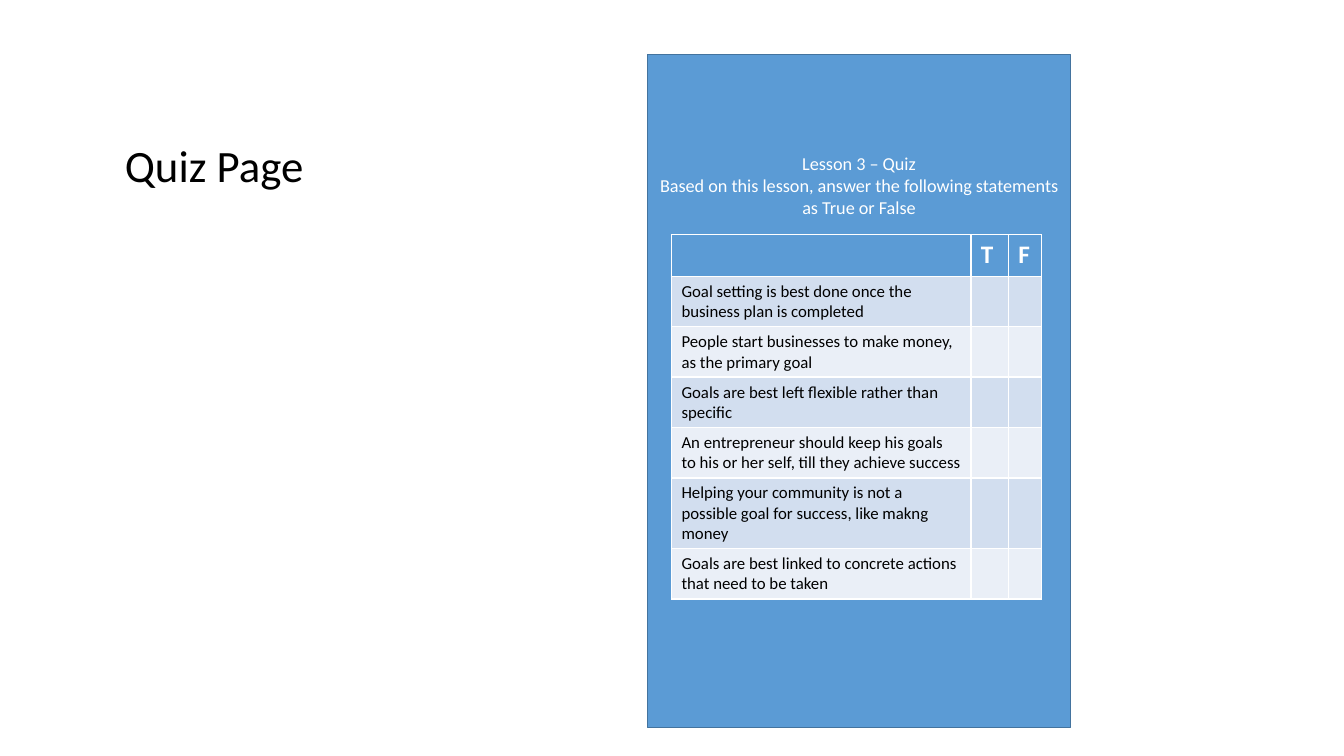
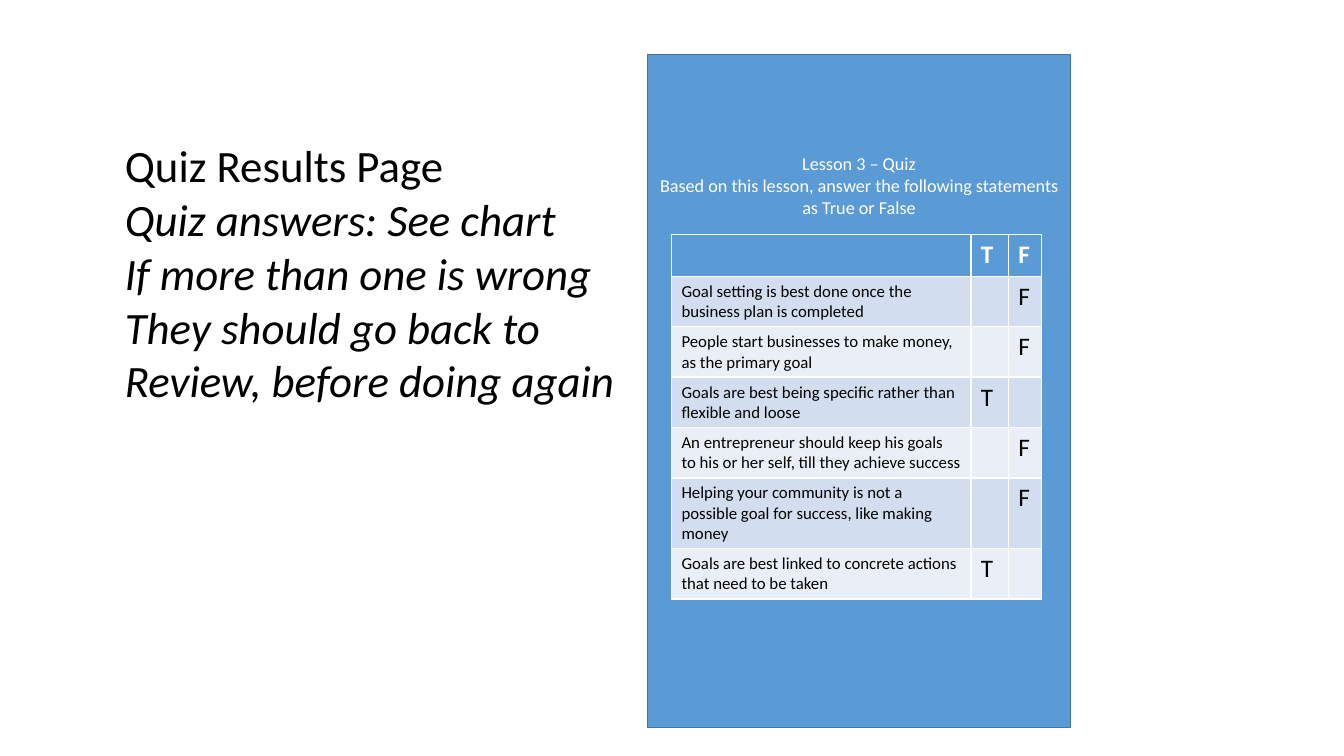
from dataclasses import dataclass

from pptx import Presentation
from pptx.dml.color import RGBColor
from pptx.enum.shapes import MSO_SHAPE
from pptx.enum.text import MSO_ANCHOR, MSO_AUTO_SIZE, PP_ALIGN
from pptx.util import Inches, Pt

RECTANGLE = MSO_SHAPE.RECTANGLE
TOP = MSO_ANCHOR.TOP
FIT_SHAPE = MSO_AUTO_SIZE.SHAPE_TO_FIT_TEXT
LEFT, CENTER = PP_ALIGN.LEFT, PP_ALIGN.CENTER
BLANK_LAYOUT = 6


@dataclass(frozen=True)
class Theme:
    font: str = "Calibri"
    text: RGBColor = RGBColor.from_string("000000")
    light: RGBColor = RGBColor.from_string("FFFFFF")
    panel: RGBColor = RGBColor.from_string("5B9BD5")
    outline: RGBColor = RGBColor.from_string("43739E")
    bands: tuple = (RGBColor.from_string("D2DEEF"), RGBColor.from_string("EAEFF7"))
    title_size: int = 32
    mark_size: int = 18
    panel_size: int = 13
    statement_size: int = 12


class QuizDeck:
    """Holds the style and the current slide."""

    def __init__(self, theme):
        self.theme = theme
        self.deck = Presentation()
        self.deck.slide_width = Inches(13.33)
        self.deck.slide_height = Inches(7.5)
        self.page = None

    def add_page(self):
        layout = self.deck.slide_layouts[BLANK_LAYOUT]
        self.page = self.deck.slides.add_slide(layout)

    def style(self, para, size, color, align=LEFT, bold=False, italic=False):
        para.alignment = align
        font = para.font
        font.name, font.size = self.theme.font, Pt(size)
        font.bold, font.italic = bold, italic
        font.color.rgb = color

    def heading(self, lines, width, height):
        """First line upright, the notes below it in italics."""
        box = self.page.shapes.add_textbox(
            Inches(1.14), Inches(1.32), Inches(width), Inches(height))
        frame = box.text_frame
        frame.word_wrap = False
        frame.auto_size = FIT_SHAPE
        frame.text = "\n".join(lines)
        for index, para in enumerate(frame.paragraphs):
            self.style(para, self.theme.title_size, self.theme.text, italic=index > 0)

    def panel(self, lines):
        box = self.page.shapes.add_shape(
            RECTANGLE, Inches(6.42), Inches(0.54), Inches(4.2), Inches(6.68))
        box.shadow.inherit = False
        box.fill.solid()
        box.fill.fore_color.rgb = self.theme.panel
        box.line.color.rgb = self.theme.outline
        box.line.width = Pt(1)
        frame = box.text_frame
        frame.word_wrap = True
        frame.vertical_anchor = TOP
        frame.margin_top = Inches(0.97)
        frame.text = "\n".join(lines)
        for para in frame.paragraphs:
            self.style(para, self.theme.panel_size, self.theme.light, CENTER)

    def cell(self, cell, text, fill, size, color, bold=False):
        cell.fill.solid()
        cell.fill.fore_color.rgb = fill
        cell.text = text
        self.style(cell.text_frame.paragraphs[0], size, color, bold=bold)

    def quiz_table(self, statements, answers):
        theme = self.theme
        widths, row_height = (2.97, 0.37, 0.33), 0.41
        row_count = len(statements) + 1
        table = self.page.shapes.add_table(
            row_count, len(widths), Inches(6.66), Inches(2.33),
            Inches(sum(widths)), Inches(row_height * row_count)).table
        for column, width in zip(table.columns, widths):
            column.width = Inches(width)
        for row in table.rows:
            row.height = Inches(row_height)

        # Header row
        for column, text in enumerate(("", *CHOICES)):
            self.cell(table.cell(0, column), text, theme.panel,
                      theme.mark_size, theme.light, bold=True)

        # Statements, each with its answer under T or F
        for row, (statement, answer) in enumerate(zip(statements, answers), 1):
            fill = theme.bands[(row - 1) % len(theme.bands)]
            self.cell(table.cell(row, 0), statement, fill,
                      theme.statement_size, theme.text)
            for column, choice in enumerate(CHOICES, 1):
                mark = choice if choice == answer else ""
                self.cell(table.cell(row, column), mark, fill,
                          theme.mark_size, theme.text)


CHOICES = "TF"
PANEL_LINES = (
    "Lesson 3 – Quiz",
    "Based on this lesson, answer the following statements as True or False",
)


def quiz_statements(goals, money):
    """The six statements; the third and fifth differ between the pages."""
    return (
        "Goal setting is best done once the business plan is completed",
        "People start businesses to make money, as the primary goal",
        f"Goals are best {goals}",
        "An entrepreneur should keep his goals to his or her self, "
        "till they achieve success",
        f"Helping your community is not a possible goal for success, like {money}",
        "Goals are best linked to concrete actions that need to be taken",
    )


# Heading lines, heading width and height, statements, answers
PAGES = (
    (("Quiz Page",), 1.99, 0.64,
     quiz_statements("left flexible rather than specific", "makng money"),
     ("",) * 6),
    (("Quiz Results Page", "Quiz answers: See chart", "If more than one is wrong",
      "They should go back to", "Review, before doing again"), 5.21, 2.79,
     quiz_statements("being specific rather than flexible and loose", "making money"),
     "FFTFFT"),
)


def main():
    quiz = QuizDeck(Theme())
    for lines, width, height, statements, answers in PAGES:
        quiz.add_page()
        quiz.heading(lines, width, height)
        quiz.panel(PANEL_LINES)
        quiz.quiz_table(statements, answers)
    quiz.deck.save("out.pptx")


if __name__ == "__main__":
    main()
